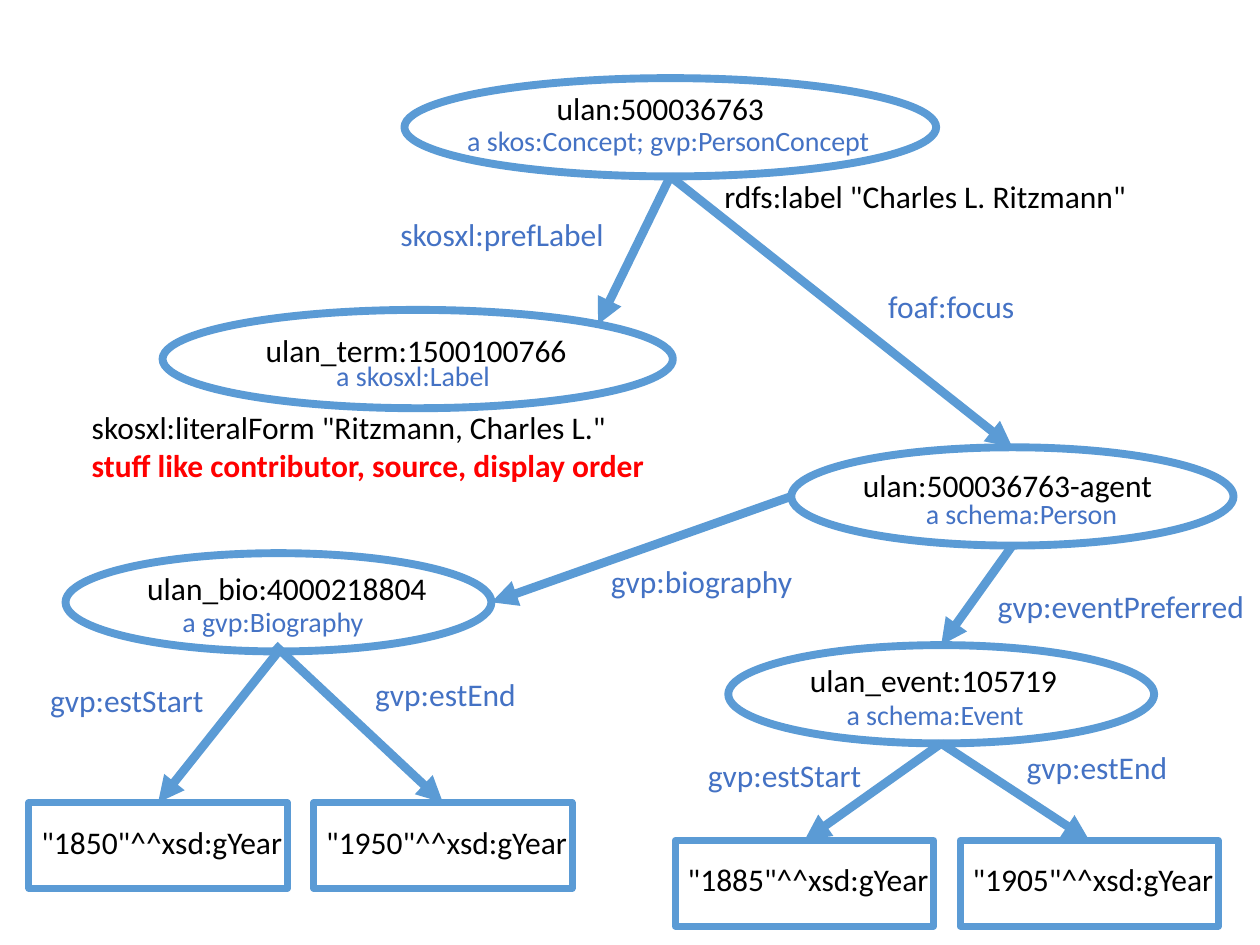
import math

import pptx
import pptx.dml.color
import pptx.enum.shapes
import pptx.enum.text
import pptx.oxml.ns
import pptx.util
from lxml import etree

COLUMNS, ROWS = 100, 75
UNIT = pptx.util.Inches(0.1)  # one grid column or row
BLACK, BLUE, RED, STROKE = "000000", "4472C4", "FF0000", "5B9BD5"
DIAGONAL = math.sqrt(0.5)
TOP, LEFT, BOTTOM, RIGHT = (0, -1), (-1, 0), (0, 1), (1, 0)
TOP_RIGHT = (DIAGONAL, -DIAGONAL)
TOP_SITE = 0


def rgb(code):
    return pptx.dml.color.RGBColor.from_string(code)


def grid(*lengths):
    return [round(length * UNIT) for length in lengths]


def write(paragraph, text, size=18, color=BLACK, bold=False, font="Calibri"):
    run = paragraph.add_run()
    run.text = text
    run.font.name = font
    run.font.size = pptx.util.Pt(size)
    run.font.bold = bold
    run.font.color.rgb = rgb(color)


def anchor(node, side):
    """Point on the outline of a node, in the direction of a side."""
    return (round(node.left + node.width * (1 + side[0]) / 2),
            round(node.top + node.height * (1 + side[1]) / 2))


class Diagram:
    shapes_enum = pptx.enum.shapes

    def __init__(self, slide):
        self.shapes = slide.shapes

    def outline(self, kind, at, weight):
        shape = self.shapes.add_shape(kind, *grid(*at))
        shape.shadow.inherit = False
        shape.fill.background()
        shape.line.color.rgb = rgb(STROKE)
        shape.line.width = pptx.util.Pt(weight)
        return shape

    def text(self, at, *lines, wrap=False):
        """Each line is a string, or a pair of a string and its format."""
        frame = self.shapes.add_textbox(*grid(*at)).text_frame
        frame.word_wrap = wrap
        frame.auto_size = pptx.enum.text.MSO_AUTO_SIZE.SHAPE_TO_FIT_TEXT
        for index, (words, style) in enumerate(lines):
            paragraph = frame.add_paragraph() if index else frame.paragraphs[0]
            write(paragraph, words, **style)

    def resource(self, at, name, name_at, kind, kind_at):
        """Ellipse with the identifier and, below it, the class."""
        node = self.outline(pptx.enum.shapes.MSO_SHAPE.OVAL, at, 4.5)
        self.text((*name_at, 4), (name, {}))
        self.text((*kind_at, 3.7), (kind, {"size": 16, "color": BLUE}))
        return node

    def literal(self, left, top, year):
        """Rectangle with a typed year."""
        box = self.outline(pptx.enum.shapes.MSO_SHAPE.RECTANGLE, (left, top, 20.5, 6.8), 4)
        self.text((left, top + 1.1, 21.8, 4), (f'"{year}"^^xsd:gYear', {}), wrap=True)
        return box

    def arrow(self, start, end, target=None):
        link = self.shapes.add_connector(
            pptx.enum.shapes.MSO_CONNECTOR.STRAIGHT, *start, *end)
        link.line.color.rgb = rgb(STROKE)
        link.line.width = pptx.util.Pt(5)
        etree.SubElement(link.line._get_or_add_ln(), pptx.oxml.ns.qn("a:tailEnd"),
                         type="triangle")
        etree.SubElement(link._element.spPr, pptx.oxml.ns.qn("a:effectLst"))
        if target is not None:
            link.end_connect(target, TOP_SITE)

    def arrow_down(self, start, target):
        self.arrow(start, anchor(target, TOP), target)

    def predicate(self, left, top, width, name):
        self.text((left, top, width, 4), (name, {"color": BLUE}))

    def lifespan(self, start, end_start, left, top, first, last):
        """Two literals side by side, each with an arrow from its resource."""
        for index, (year, origin) in enumerate(((first, start), (last, end_start))):
            self.arrow_down(origin, self.literal(left + index * 22.6, top, year))


def main():
    deck = pptx.Presentation()
    deck.slide_width, deck.slide_height = grid(COLUMNS, ROWS)
    diagram = Diagram(deck.slides.add_slide(deck.slide_layouts[6]))

    # Resources: ellipse, identifier and class
    concept = diagram.resource((32.1, 6.2, 42.2, 7.8), "ulan:500036763", (43.2, 6.6, 18.7),
                               "a skos:Concept; gvp:PersonConcept", (36.1, 9.3, 34.3))
    label = diagram.resource((12.9, 24.6, 40.5, 7.8), "ulan_term:1500100766", (20.1, 25.8, 26.2),
                             "a skosxl:Label", (25.7, 28, 14.3))
    agent = diagram.resource((62.8, 35.5, 35.1, 7.8), "ulan:500036763-agent", (67.5, 36.5, 25.2),
                             "a schema:Person", (72.5, 38.9, 17.4))
    biography = diagram.resource((5.2, 43.9, 33.8, 7.8), "ulan_bio:4000218804", (10.7, 44.7, 24.5),
                                 "a gvp:Biography", (13.5, 47.5, 16.6))
    event = diagram.resource((57.8, 51.2, 33.8, 7.8), "ulan_event:105719", (63.3, 52, 21.9),
                             "a schema:Event", (66.2, 54.9, 16.2))

    # Links between resources
    diagram.arrow(anchor(concept, BOTTOM), anchor(label, TOP_RIGHT))
    diagram.arrow_down(anchor(concept, BOTTOM), agent)
    diagram.arrow(anchor(agent, LEFT), anchor(biography, RIGHT))
    diagram.arrow_down(anchor(agent, BOTTOM), event)

    # Start and end years
    born = anchor(biography, BOTTOM)
    diagram.lifespan(born, grid(21.8, 51.2), 2.3, 63.7, 1850, 1950)
    active = anchor(event, BOTTOM)
    diagram.lifespan(active, active, 53.6, 66.7, 1885, 1905)

    # Names of the links
    for predicate in (
        (30.8, 16.6, 18.3, "skosxl:prefLabel"),
        (69.5, 22.3, 12.2, "foaf:focus"),
        (47.5, 44.1, 16.6, "gvp:biography"),
        (78.2, 46.1, 21.8, "gvp:eventPreferred"),
        (3, 53.6, 14.3, "gvp:estStart"),
        (28.8, 53.1, 13.3, "gvp:estEnd"),
        (55.2, 59.5, 14.3, "gvp:estStart"),
        (80.5, 58.9, 13.3, "gvp:estEnd"),
    ):
        diagram.predicate(*predicate)

    # Literal values of the concept and its label
    diagram.text((56.5, 13.6, 34.3, 4), ('rdfs:label "Charles L. Ritzmann"', {}))
    diagram.text((6.3, 31.9, 47.3, 7.1),
                 ('skosxl:literalForm "Ritzmann, Charles L."', {}),
                 ("stuff like contributor, source, display order", {"color": RED, "bold": True}),
                 wrap=True)

    deck.save("out.pptx")


if __name__ == "__main__":
    main()
